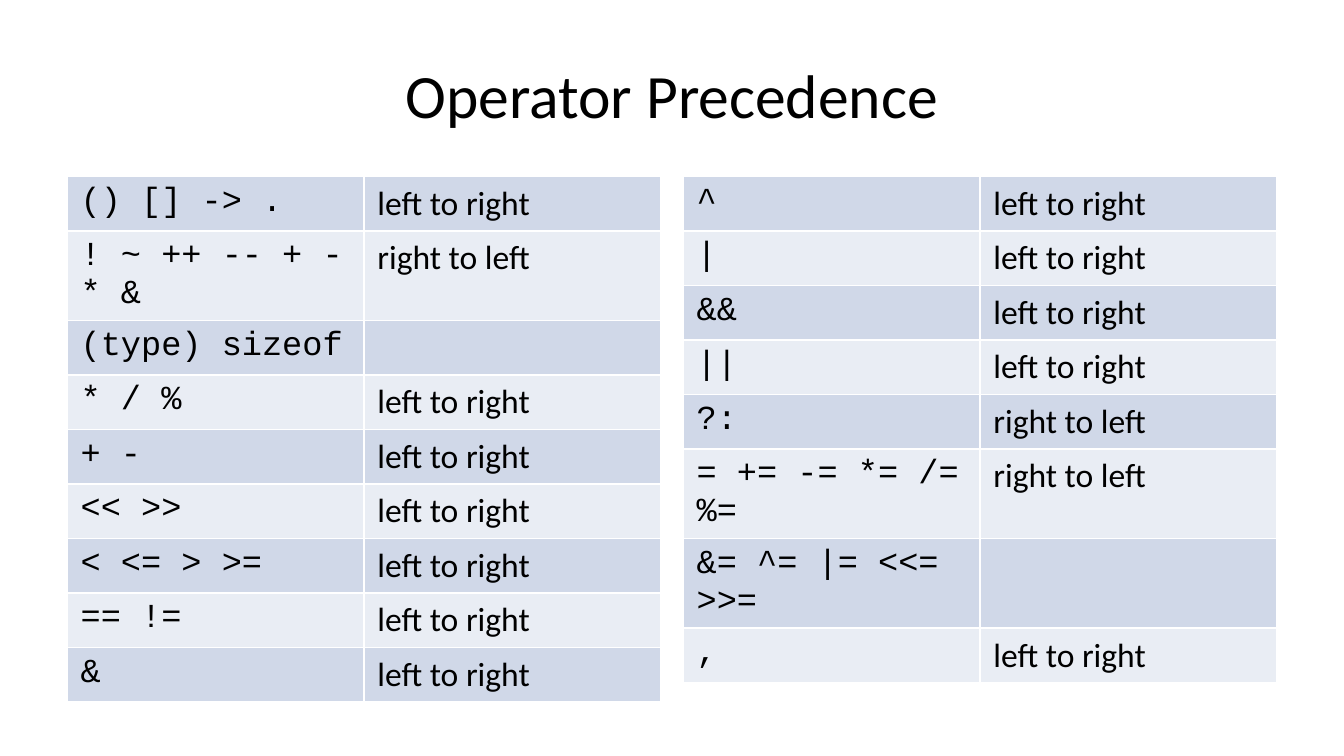
from dataclasses import dataclass

from lxml.etree import SubElement as Sub
from pptx import Presentation
from pptx.dml.color import RGBColor as Rgb
from pptx.enum.text import MSO_ANCHOR as Anchor, MSO_AUTO_SIZE as Fit, PP_ALIGN as Align
from pptx.oxml.ns import qn
from pptx.util import Pt

SCALE = 9525


@dataclass(frozen=True)
class Theme:
    ink: str = "000000"
    line: str = "FFFFFF"
    bands: tuple = ("D0D8E8", "E9EDF4")
    sans: str = "Calibri"
    mono: str = "Courier New"
    head: int = 33
    text: int = 18
    rule: int = 1


THEME = Theme()
LTR = "left to right"
RTL = "right to left"
HIGH = [
    ("() [] -> .", LTR),
    ("! ~ ++ -- + - * &", RTL),
    ("(type) sizeof", ""),
    ("* / %", LTR),
    ("+ -", LTR),
    ("<< >>", LTR),
    ("< <= > >=", LTR),
    ("== !=", LTR),
    ("&", LTR),
]
LOW = [
    ("^", LTR),
    ("|", LTR),
    ("&&", LTR),
    ("||", LTR),
    ("?:", RTL),
    ("= += -= *= /= %=", RTL),
    ("&= ^= |= <<= >>=", ""),
    (",", LTR),
]
ROW, TALL, FULL = 38, 64, 13
WIDE, GAP = 424, 16


def px(num):
    return int(num * SCALE)


def style(obj, form):
    for key, val in form.items():
        setattr(obj, key, val)


def write(para, text, face, size):
    run = para.add_run()
    run.text = text
    style(run.font, {"name": face, "size": Pt(size), "bold": False})
    run.font.color.rgb = Rgb.from_string(THEME.ink)


def edge(cell):
    props = cell._tc.get_or_add_tcPr()
    for side in ("a:lnL", "a:lnR", "a:lnT", "a:lnB"):
        line = Sub(props, qn(side), w=str(Pt(THEME.rule)))
        Sub(Sub(line, qn("a:solidFill")), qn("a:srgbClr"), val=THEME.line)


def title(slide, box, text):
    shape = slide.shapes.title
    style(shape, dict(zip(("left", "top", "width", "height"), map(px, box))))
    frame = shape.text_frame
    style(frame, {"auto_size": Fit.NONE, "vertical_anchor": Anchor.MIDDLE, "word_wrap": True})
    para = frame.paragraphs[0]
    para.alignment = Align.CENTER
    write(para, text, THEME.sans, THEME.head)


def grid(slide, box, rows):
    left, top, width = box
    tall = [TALL if len(ops) > FULL else ROW for ops, _ in rows]
    spot = map(px, (left, top, width, sum(tall)))
    table = slide.shapes.add_table(len(rows), 2, *spot).table
    style(table, {"first_row": False, "horz_banding": False})
    for col in table.columns:
        col.width = px(width // 2)
    for num, (row, pair) in enumerate(zip(table.rows, rows)):
        row.height = px(tall[num])
        for cell, text, face in zip(row.cells, pair, (THEME.mono, THEME.sans)):
            edge(cell)
            cell.fill.solid()
            cell.fill.fore_color.rgb = Rgb.from_string(THEME.bands[num % 2])
            if text:
                write(cell.text_frame.paragraphs[0], text, face, THEME.text)


def main():
    deck = Presentation()
    style(deck, {"slide_width": px(960), "slide_height": px(540)})
    slide = deck.slides.add_slide(deck.slide_layouts[5])
    title(slide, (48, 22, 864, 90), "Operator Precedence")
    for num, rows in enumerate((HIGH, LOW)):
        grid(slide, (48 + (WIDE + GAP) * num, 126, WIDE), rows)
    deck.save("out.pptx")


if __name__ == "__main__":
    main()
